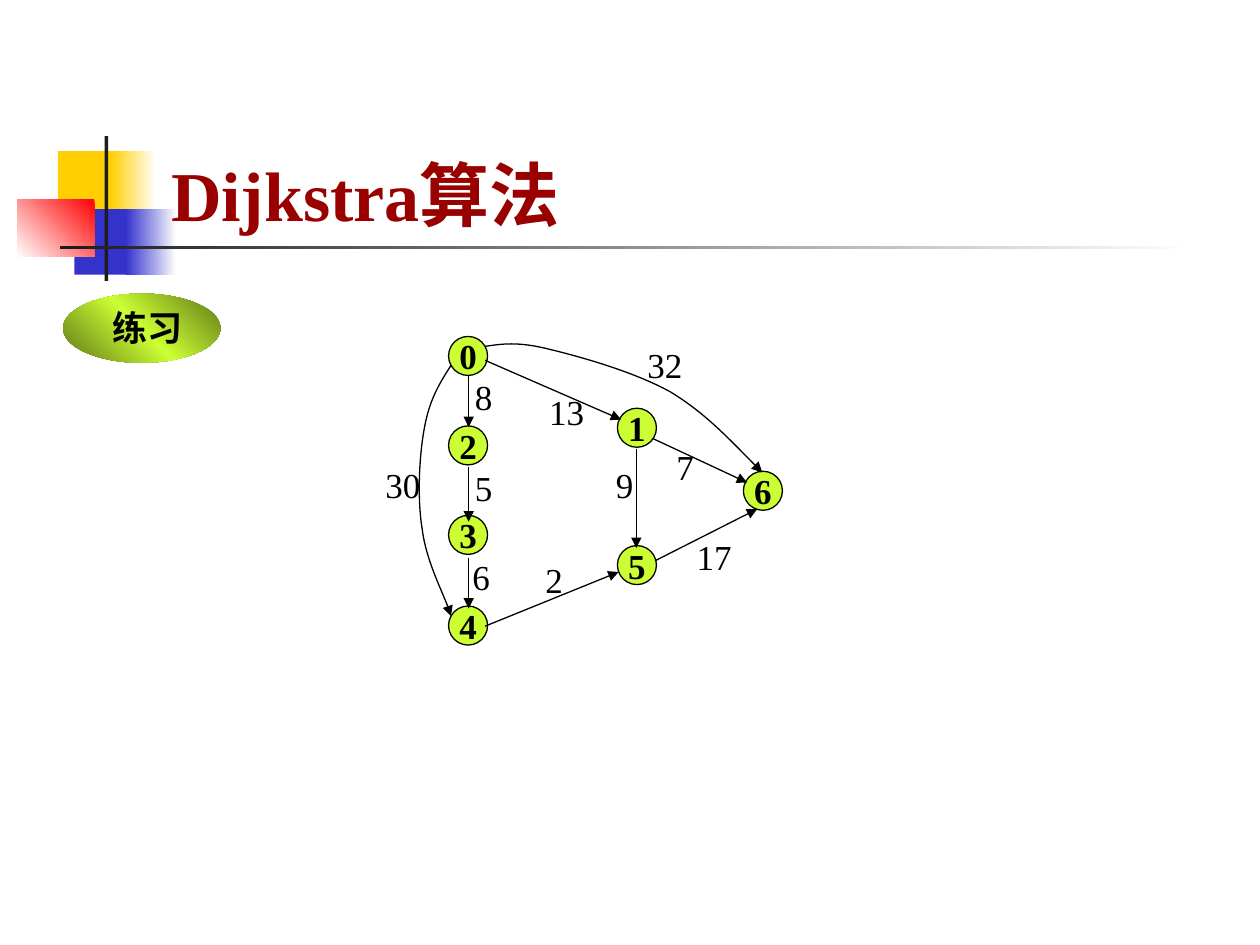
from copy import deepcopy

from lxml import etree
from pptx import Presentation
from pptx.dml.color import RGBColor
from pptx.enum.shapes import MSO_CONNECTOR, MSO_SHAPE
from pptx.enum.text import MSO_ANCHOR, PP_ALIGN
from pptx.oxml.ns import qn
from pptx.util import Inches, Pt

BLACK, LIME, OLIVE = "000000", "CCFF33", "5E7517"
YELLOW, BLUE, RED, WHITE, CHARCOAL = "FFCF01", "3333CC", "FF0000", "FFFFFF", "1C1C1C"
NODE_SIZE = 0.31


def paint(shape, colors, angle=180):
    """Fill a shape with one colour, or with evenly spaced gradient stops."""
    shape.shadow.inherit = False
    shape.line.fill.background()
    if len(colors) == 1:
        shape.fill.solid()
        shape.fill.fore_color.rgb = RGBColor.from_string(colors[0])
        return
    shape.fill.gradient()
    shape.fill.gradient_angle = angle
    stop_list = shape._element.spPr.find(".//" + qn("a:gsLst"))
    for _ in colors[2:]:
        stop_list.append(deepcopy(stop_list[0]))
    for i, (stop, color) in enumerate(zip(shape.fill.gradient_stops, colors)):
        stop.color.rgb = RGBColor.from_string(color)
        stop.position = i / (len(colors) - 1)


def write(shape, text, size=20, color=BLACK, bold=False, align=PP_ALIGN.LEFT,
          anchor=MSO_ANCHOR.TOP, wrap=False):
    frame = shape.text_frame
    frame.text = text
    frame.word_wrap = wrap
    frame.vertical_anchor = anchor
    frame.paragraphs[0].alignment = align
    font = frame.paragraphs[0].runs[0].font
    font.name, font.size, font.bold = "Times New Roman", Pt(size), bold
    font.color.rgb = RGBColor.from_string(color)


prs = Presentation()
prs.slide_width, prs.slide_height = Inches(10), Inches(7.5)
shapes = prs.slides.add_slide(prs.slide_layouts[6]).shapes

# Corner decoration and title rule
for left, top, width, height, colors, angle in [
    (0.46, 1.2, 0.48, 0.52, [YELLOW], 0),
    (0.88, 1.2, 0.36, 0.52, [WHITE, YELLOW], 180),
    (0.59, 1.66, 0.46, 0.52, [BLUE], 0),
    (1, 1.66, 0.4, 0.52, [WHITE, BLUE], 180),
    (0.14, 1.58, 0.61, 0.46, [RED, WHITE], 225),
    (0.83, 1.08, 0.03, 1.15, [CHARCOAL], 0),
    (0.48, 1.95, 9, 0.03, [WHITE, CHARCOAL], 180),
]:
    block = shapes.add_shape(MSO_SHAPE.RECTANGLE, Inches(left), Inches(top),
                             Inches(width), Inches(height))
    paint(block, colors, angle)

# Title
title = shapes.add_textbox(Inches(1.26), Inches(0.67), Inches(8.52), Inches(1.25))
write(title, "Dijkstra算法", 40, "990000", True, anchor=MSO_ANCHOR.BOTTOM, wrap=True)

# Graph nodes
nodes = {"5": (4.9, 4.33), "1": (4.9, 3.24), "6": (5.9, 3.74), "4": (3.56, 4.81),
         "3": (3.56, 4.09), "2": (3.56, 3.38), "0": (3.56, 2.67)}
for name, (left, top) in nodes.items():
    node = shapes.add_shape(MSO_SHAPE.OVAL, Inches(left), Inches(top),
                            Inches(NODE_SIZE), Inches(NODE_SIZE))
    paint(node, [LIME])
    node.line.color.rgb = RGBColor.from_string(BLACK)
    node.line.width = Pt(0.75)
    write(node, name, bold=True, align=PP_ALIGN.CENTER, anchor=MSO_ANCHOR.MIDDLE)

# Straight edges
edges = []
for x1, y1, x2, y2 in [
    (3.72, 2.98, 3.72, 3.39), (3.72, 3.71, 3.72, 4.14), (3.72, 4.43, 3.72, 4.83),
    (3.85, 2.86, 4.93, 3.33), (5.18, 3.48, 5.93, 3.83), (3.85, 4.97, 4.91, 4.54),
    (5.2, 4.45, 6.01, 4.04), (5.05, 3.56, 5.05, 4.35),
]:
    edge = shapes.add_connector(MSO_CONNECTOR.STRAIGHT, Inches(x1), Inches(y1),
                                Inches(x2), Inches(y2))
    edges.append(edge)

# Curved edges: a start point, then three Bezier points per segment
for start, *bends in [
    [(3.58, 2.9), (3.49, 3.04), (3.41, 3.17), (3.37, 3.39), (3.33, 3.6),
     (3.31, 3.94), (3.35, 4.19), (3.38, 4.44), (3.55, 4.77), (3.58, 4.89)],
    [(3.85, 2.75), (3.98, 2.73), (4.11, 2.71), (4.35, 2.77), (4.6, 2.83),
     (5.03, 2.95), (5.32, 3.11), (5.6, 3.28), (5.82, 3.52), (6.05, 3.75)],
]:
    builder = shapes.build_freeform(Inches(start[0]), Inches(start[1]))
    builder.add_line_segments([(Inches(x), Inches(y)) for x, y in bends], close=False)
    curve = builder.convert_to_shape()
    curve.fill.background()
    outline = curve._element.spPr.find(".//" + qn("a:path"))
    lines = outline.findall(qn("a:lnTo"))
    for i in range(0, len(lines), 3):
        bezier = etree.SubElement(outline, qn("a:cubicBezTo"))
        for line in lines[i:i + 3]:
            bezier.append(line[0])
            outline.remove(line)
    edges.append(curve)

# Line style and arrowheads
for edge in edges:
    edge.line.color.rgb = RGBColor.from_string(BLACK)
    edge.line.width = Pt(0.75)
    etree.SubElement(edge.line._get_or_add_ln(), qn("a:tailEnd"), type="triangle")
    etree.SubElement(edge._element.spPr, qn("a:effectLst"))

# Edge weights
for weight, left, top in [
    ("8", 3.67, 2.93), ("5", 3.67, 3.65), ("6", 3.65, 4.36), ("2", 4.23, 4.38),
    ("30", 2.96, 3.63), ("13", 4.26, 3.05), ("7", 5.27, 3.49), ("17", 5.43, 4.2),
    ("32", 5.04, 2.68), ("9", 4.79, 3.63),
]:
    label = shapes.add_textbox(Inches(left), Inches(top),
                               Inches(0.2 + 0.14 * len(weight)), Inches(0.44))
    write(label, weight)

# Exercise badge
badge = shapes.add_shape(MSO_SHAPE.OVAL, Inches(0.5), Inches(2.33), Inches(1.25), Inches(0.55))
paint(badge, [OLIVE, LIME, OLIVE], 225)
exercise = shapes.add_textbox(Inches(0.79), Inches(2.38), Inches(0.77), Inches(0.44))
write(exercise, "练习", bold=True, align=PP_ALIGN.CENTER, anchor=MSO_ANCHOR.MIDDLE, wrap=True)

prs.save("out.pptx")
